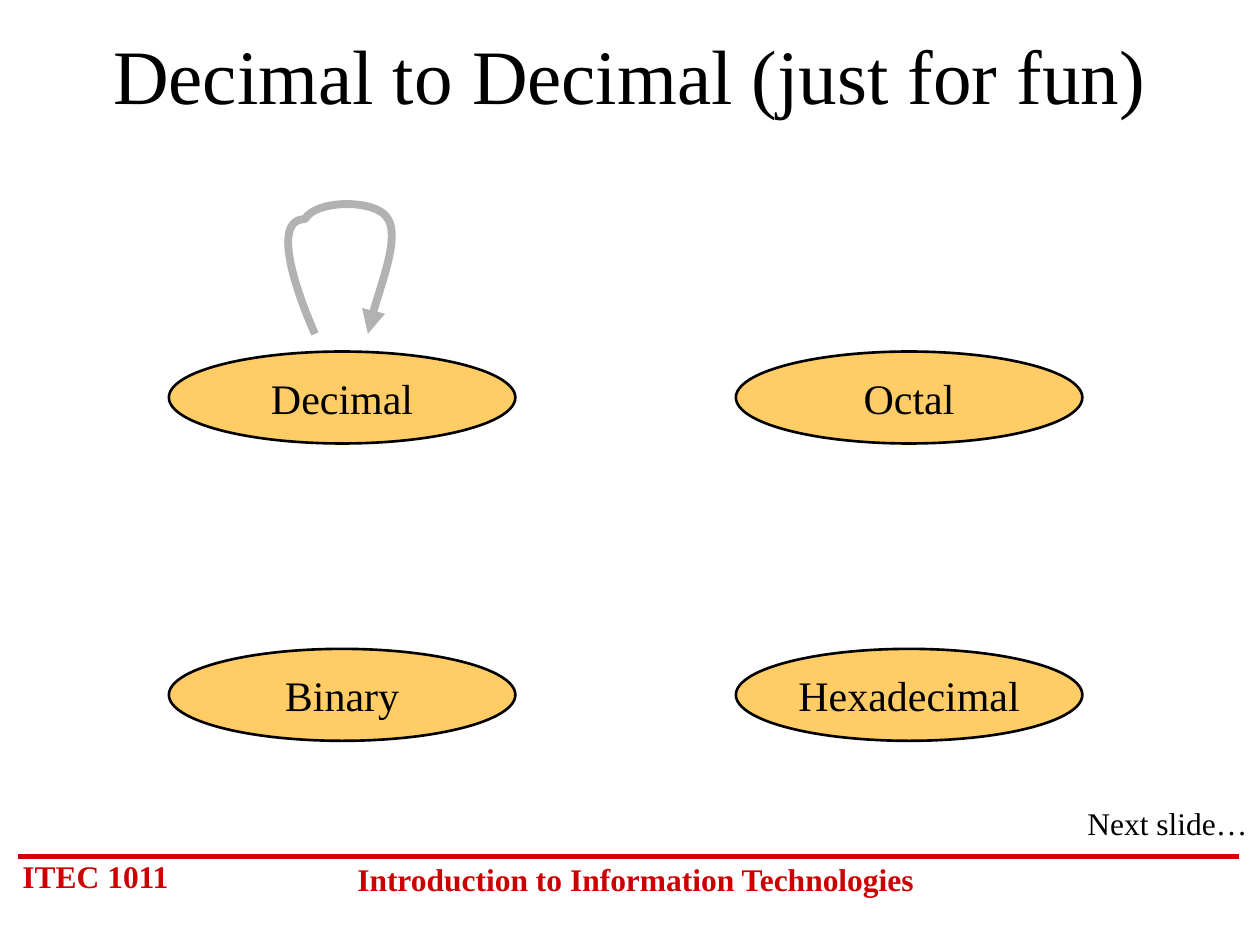
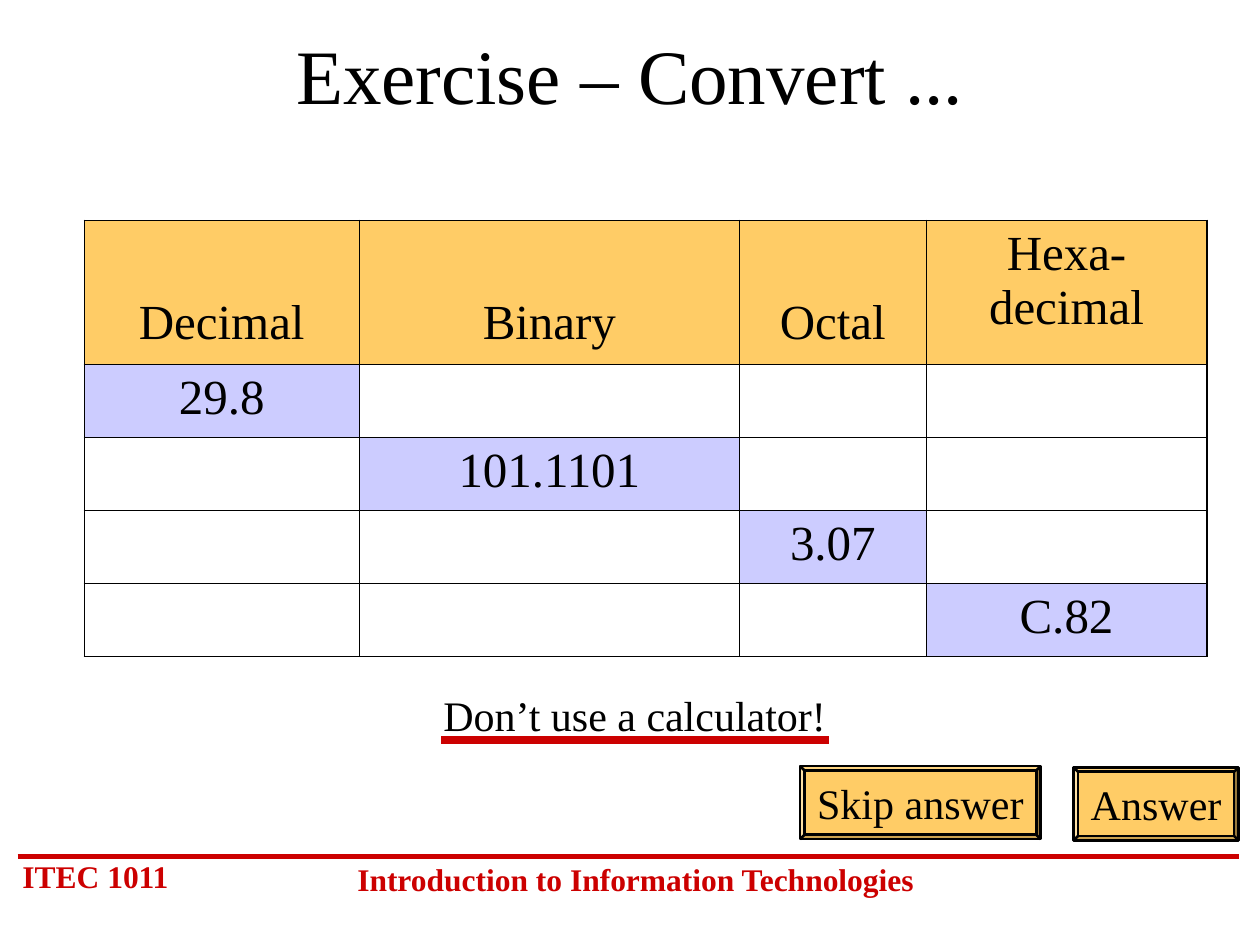
"""Build two slides on converting between number systems."""
from dataclasses import dataclass
from typing import NamedTuple

from lxml import etree
from pptx import Presentation
from pptx.dml.color import RGBColor
from pptx.enum.dml import MSO_LINE
from pptx.enum.shapes import MSO_CONNECTOR, MSO_SHAPE
from pptx.enum.text import MSO_ANCHOR, PP_ALIGN
from pptx.oxml.ns import qn
from pptx.util import Inches, Pt

LEFT, CENTER, RIGHT = PP_ALIGN.LEFT, PP_ALIGN.CENTER, PP_ALIGN.RIGHT
TOP, MIDDLE, BOTTOM = MSO_ANCHOR.TOP, MSO_ANCHOR.MIDDLE, MSO_ANCHOR.BOTTOM
ELLIPSE, BEVEL = MSO_SHAPE.OVAL, MSO_SHAPE.BEVEL
STRAIGHT, SOLID = MSO_CONNECTOR.STRAIGHT, MSO_LINE.SOLID


@dataclass(frozen=True)
class Theme:
    font: str = "Times New Roman"
    black: str = "000000"
    red: str = "CC0000"
    gold: str = "FFCC66"
    lilac: str = "CCCCFF"
    gray: str = "B2B2B2"
    title: int = 44
    cell: int = 28
    body: int = 24
    small: int = 18
    outline: float = 1.5
    rule: float = 3
    heavy: float = 4.5
    frame: float = 1.08
    grid: float = 0.45


class Box(NamedTuple):
    left: float
    top: float
    width: float
    height: float


class Label(NamedTuple):
    text: str
    box: Box
    size: int
    align: PP_ALIGN = LEFT
    anchor: MSO_ANCHOR = TOP
    color: str = "000000"
    bold: bool = False
    wrap: bool = True


class Node(NamedTuple):
    text: str
    box: Box
    preset: MSO_SHAPE


T = Theme()
FOOTERS = [
    Label("ITEC 1011", Box(0.08, 6.75, 1.5, 0.4), T.small, color=T.red, bold=True),
    Label("Introduction to Information Technologies", Box(2.67, 6.78, 4.75, 0.4),
          T.small, CENTER, color=T.red, bold=True),
]
NEXT = Label("Next slide…", Box(8.53, 6.33, 1.47, 0.4), T.small, RIGHT, wrap=False)
WARNING = Label("Don’t use a calculator!", Box(3.42, 5.42, 3.24, 0.5), T.body, wrap=False)
SYSTEMS = [["Decimal", "Octal"], ["Binary", "Hexadecimal"]]
NODES = [Node(name, Box(1.34 + 4.5 * col, 2.79 + 2.36 * row, 2.75, 0.73), ELLIPSE)
         for row, names in enumerate(SYSTEMS) for col, name in enumerate(names)]
BUTTONS = [Node("Skip answer", Box(6.35, 6.08, 1.91, 0.58), BEVEL),
           Node("Answer", Box(8.52, 6.09, 1.31, 0.58), BEVEL)]
LOOP = [(2.5, 2.65),
        (2.5, 2.65), (2.08, 1.74), (2.42, 1.74),
        (2.51, 1.58), (3, 1.58), (3.08, 1.74),
        (3.17, 1.89), (2.95, 2.46), (2.92, 2.65)]
HEADERS = ["Decimal", "Binary", "Octal", "Hexa-\vdecimal"]
GIVEN = ["29.8", "101.1101", "3.07", "C.82"]
TABLE_BOX = Box(0.67, 1.75, 8.92, 3.47)
COLUMNS = [2.18, 3.02, 1.48, 2.23]
ROWS = [1.14] + [0.58] * len(GIVEN)


def inches(values) -> list:
    """Turn plain numbers into lengths."""
    return [Inches(v) for v in values]


def write(tf, text: str, size: int, align=CENTER, color: str = T.black, bold: bool = False) -> None:
    """Write one paragraph in the theme font."""
    p = tf.paragraphs[0]
    p.text = text
    p.alignment = align
    for r in p.runs:
        for name, value in {"name": T.font, "size": Pt(size), "bold": bold}.items():
            setattr(r.font, name, value)
        r.font.color.rgb = RGBColor.from_string(color)


def add_label(s, label: Label) -> None:
    """Add a text box."""
    tf = s.shapes.add_textbox(*inches(label.box)).text_frame
    tf.word_wrap = label.wrap
    tf.vertical_anchor = label.anchor
    write(tf, label.text, label.size, label.align, label.color, label.bold)


def set_line(line, color: str, width: float) -> None:
    """Give a line its colour and width."""
    line.color.rgb = RGBColor.from_string(color)
    line.width = Pt(width)


def add_rule(s, x1: float, x2: float, y: float, width: float) -> None:
    """Draw a red horizontal line."""
    line = s.shapes.add_connector(STRAIGHT, *inches((x1, y, x2, y)))
    set_line(line.line, T.red, width)
    etree.SubElement(line._element.spPr, qn("a:effectLst"))


def add_node(s, node: Node) -> None:
    """Add a gold shape with a centred caption."""
    sp = s.shapes.add_shape(node.preset, *inches(node.box))
    sp.shadow.inherit = False
    if node.preset == BEVEL:
        sp.adjustments[0] = 0.06
    sp.fill.solid()
    sp.fill.fore_color.rgb = RGBColor.from_string(T.gold)
    set_line(sp.line, T.black, T.outline)
    tf = sp.text_frame
    tf.word_wrap = False
    tf.vertical_anchor = MIDDLE
    write(tf, node.text, T.body)


def add_loop(s, points: list) -> None:
    """Draw a curved arrow, taking each three points after the first as a cubic."""
    start, *rest = [tuple(inches(point)) for point in points]
    builder = s.shapes.build_freeform(*start)
    builder.add_line_segments(rest, close=False)
    sp = builder.convert_to_shape()
    steps = list(sp._element.iter(qn("a:lnTo")))
    for i in range(0, len(steps), 3):
        curve = etree.Element(qn("a:cubicBezTo"))
        steps[i].addprevious(curve)
        for step in steps[i:i + 3]:
            curve.append(step[0])
            step.getparent().remove(step)
    sp.shadow.inherit = False
    sp.fill.background()
    set_line(sp.line, T.gray, T.heavy)
    sp.line.dash_style = SOLID
    etree.SubElement(sp.line._ln, qn("a:tailEnd"), type="triangle")


def add_borders(cell, outer: dict) -> None:
    """Draw the four borders of a cell, heavier on the outer sides."""
    tc_pr = cell._tc.get_or_add_tcPr()
    for side, is_outer in outer.items():
        width = Pt(T.frame if is_outer else T.grid)
        ln = etree.SubElement(tc_pr, qn(f"a:ln{side}"), w=str(width))
        fill = etree.SubElement(ln, qn("a:solidFill"))
        etree.SubElement(fill, qn("a:srgbClr"), val=T.black)


def add_exercise(s) -> None:
    """Add the table with one given number on each row."""
    table = s.shapes.add_table(len(ROWS), len(COLUMNS), *inches(TABLE_BOX)).table
    table.first_row = table.horz_banding = False
    for column, width in zip(table.columns, COLUMNS):
        column.width = Inches(width)
    for row, height in zip(table.rows, ROWS):
        row.height = Inches(height)
    last_row, last_col = len(ROWS) - 1, len(COLUMNS) - 1
    for i in range(len(ROWS)):
        for j, header in enumerate(HEADERS):
            cell = table.cell(i, j)
            add_borders(cell, {"L": j == 0, "R": j == last_col, "T": i == 0, "B": i == last_row})
            if i and j != i - 1:
                cell.fill.background()
                continue
            cell.fill.solid()
            cell.fill.fore_color.rgb = RGBColor.from_string(T.lilac if i else T.gold)
            write(cell.text_frame, GIVEN[j] if i else header, T.cell)
            if i == 0 and j < last_col:
                cell.vertical_anchor = BOTTOM
                cell.margin_bottom = Inches(0.11)


def add_slide(prs, title: str):
    """Add a blank slide with the shared footer and title."""
    s = prs.slides.add_slide(prs.slide_layouts[6])
    add_rule(s, 0.14, 9.83, 6.8, T.rule)
    for footer in FOOTERS:
        add_label(s, footer)
    add_label(s, Label(title, Box(0.75, 0.17, 8.5, 0.83), T.title, CENTER, MIDDLE))
    return s


def main() -> None:
    """Build and save the presentation."""
    prs = Presentation()
    prs.slide_width, prs.slide_height = inches((10, 7.5))

    s = add_slide(prs, "Decimal to Decimal (just for fun)")
    for node in NODES:
        add_node(s, node)
    add_loop(s, LOOP)
    add_label(s, NEXT)

    s = add_slide(prs, "Exercise – Convert ...")
    add_label(s, WARNING)
    add_rule(s, 3.5, 6.58, 5.87, T.heavy)
    add_exercise(s)
    for button in BUTTONS:
        add_node(s, button)

    prs.save("out.pptx")


if __name__ == "__main__":
    main()
